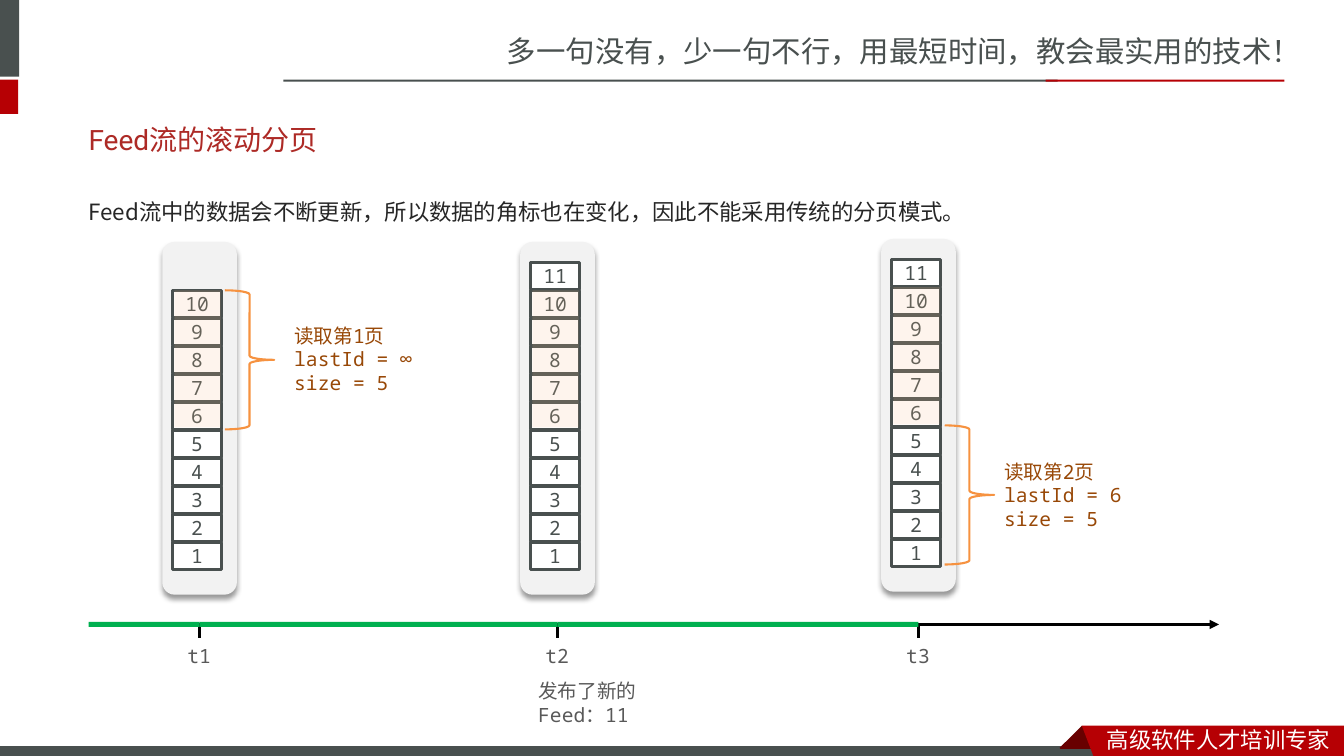
import dataclasses
import typing

import lxml.etree
import pptx
import pptx.dml.color
import pptx.enum.shapes
import pptx.enum.text
import pptx.oxml.ns
import pptx.shapes.autoshape
import pptx.shapes.connector
import pptx.util

Inches = pptx.util.Inches
Kind = pptx.enum.shapes.MSO_SHAPE
Align = pptx.enum.text.PP_ALIGN
Anchor = pptx.enum.text.MSO_ANCHOR
Shape = pptx.shapes.autoshape.Shape
Line = pptx.shapes.connector.Connector
tag = pptx.oxml.ns.qn


@dataclasses.dataclass(frozen=True)
class Theme:
    slate: str = "49504F"
    red: str = "B60004"
    dark: str = "680000"
    title: str = "AD2A26"
    ink: str = "262626"
    gray: str = "595959"
    brown: str = "984807"
    brace: str = "F69240"
    tint: str = "FAC090"
    panel: str = "F2F2F2"
    green: str = "00B050"
    white: str = "FFFFFF"
    black: str = "000000"
    slogan_size: float = 21
    title_size: float = 20
    body_size: float = 16
    label_size: float = 14
    mono: str = "Noto Sans Mono"
    sans: str = "Noto Sans CJK SC"
    body: str = "Noto Sans CJK JP"
    head: str = "Roboto"


class Box(typing.NamedTuple):
    left: float
    top: float
    width: float
    height: float


class Block(typing.NamedTuple):
    box: Box
    fill: str
    edge: str | None = None


class Note(typing.NamedTuple):
    box: Box
    text: str
    size: float
    face: str
    color: str
    wrap: bool = True
    anchor: Anchor = Anchor.TOP
    space: float | None = None


class Stack(typing.NamedTuple):
    left: float
    top: float
    count: int
    tick: float


class Page(typing.NamedTuple):
    brace: Box
    label: Box
    text: str


look = Theme()
PITCH = 2.5 / 9
BAR_TOP, BAR_HIGH = 6.17, 0.05
AXIS = BAR_TOP + BAR_HIGH / 2
START, END = 0.88, 12.09

BLOCKS = [
    Block(Box(-0.01, 7.45, 13.3, 0.08), look.white, look.white),
    Block(Box(-0.06, 0, 0.25, 0.76), look.slate),
    Block(Box(-0.06, 0.79, 0.24, 0.34), look.red),
    Block(Box(2.81, 0.79, 7.68, 0.02), look.slate),
    Block(Box(10.37, 0.79, 2.37, 0.02), look.red),
    Block(Box(-0.01, 7.41, 10.96, 0.09), look.slate, look.slate),
]
FOLD = [(10.73, 7.2), (10.95, 7.42), (10.94, 7.43), (10.52, 7.43), (10.51, 7.42)]
RIBBON = [(10.73, 7.2), (13.33, 7.2), (13.33, 7.54), (10.86, 7.54)]
STACKS = [Stack(1.61, 2.4, 10, 1.98), Stack(5.16, 2.4, 11, 5.53), Stack(8.74, 2.37, 11, 9.11)]
PAGES = [
    Page(Box(2.23, 2.88, 0.49, 1.38), Box(2.82, 3.16, 1.77, 0.81), "读取第1页\nlastId = ∞\nsize = 5"),
    Page(Box(9.37, 4.22, 0.49, 1.38), Box(9.86, 4.51, 1.77, 0.81), "读取第2页\nlastId = 6\nsize = 5"),
]
NOTES = [
    Note(Box(4.93, 0.28, 8.41, 0.47), "多一句没有，少一句不行，用最短时间，教会最实用的技术！",
         look.slogan_size, look.sans, look.slate),
    Note(Box(10.88, 7.15, 2.45, 0.37), "高级软件人才培训专家", look.body_size, look.sans, look.white),
    Note(Box(0.78, 1.16, 11.7, 0.44), "Feed流的滚动分页",
         look.title_size, look.head, look.title, anchor=Anchor.MIDDLE),
    Note(Box(0.78, 1.78, 11.95, 0.47),
         "Feed流中的数据会不断更新，所以数据的角标也在变化，因此不能采用传统的分页模式。",
         look.body_size, look.body, look.ink, space=1.5),
    Note(Box(5.24, 6.69, 1.43, 0.57), "发布了新的Feed：11", look.label_size, look.mono, look.gray),
]


def tone(code: str) -> pptx.dml.color.RGBColor:
    return pptx.dml.color.RGBColor.from_string(code)


def paint(shape: Shape, fill: str | None, edge: str | None = None, width: float = 0.75) -> Shape:
    """Set fill and outline, and drop the inherited shadow."""
    shape.shadow.inherit = False
    if fill:
        shape.fill.solid()
        shape.fill.fore_color.rgb = tone(fill)
    else:
        shape.fill.background()
    if edge:
        shape.line.color.rgb = tone(edge)
        shape.line.width = pptx.util.Pt(width)
    else:
        shape.line.fill.background()
    return shape


def add_box(shapes, kind: Kind, box: Box) -> Shape:
    return shapes.add_shape(kind, *map(Inches, box))


def add_free(shapes, points: list[tuple[float, float]], fill: str) -> None:
    spots = [(Inches(x), Inches(y)) for x, y in points]
    maker = shapes.build_freeform(*spots[0], scale=1.0)
    maker.add_line_segments(spots[1:], close=True)
    paint(maker.convert_to_shape(), fill)


def write(frame, text: str, size: float, face: str, color: str,
          align: Align = Align.LEFT, space: float | None = None) -> None:
    style = {"size": pptx.util.Pt(size), "name": face}
    for spot, words in enumerate(text.split("\n")):
        para = frame.add_paragraph() if spot else frame.paragraphs[0]
        para.alignment = align
        if space:
            para.line_spacing = space
        run = para.add_run()
        run.text = words
        for key, value in style.items():
            setattr(run.font, key, value)
        run.font.color.rgb = tone(color)
        east = look.body if face == look.body else look.sans
        lxml.etree.SubElement(run.font._element, tag("a:ea"), typeface=east)


def add_note(shapes, note: Note) -> None:
    frame = shapes.add_textbox(*map(Inches, note.box)).text_frame
    frame.word_wrap = note.wrap
    frame.vertical_anchor = note.anchor
    write(frame, note.text, note.size, note.face, note.color, space=note.space)


def add_line(shapes, x1: float, y1: float, x2: float, y2: float) -> Line:
    line = shapes.add_connector(pptx.enum.shapes.MSO_CONNECTOR.STRAIGHT,
                                *map(Inches, (x1, y1, x2, y2)))
    line.line.color.rgb = tone(look.black)
    line.line.width = pptx.util.Pt(2.25)
    lxml.etree.SubElement(line.element.spPr, tag("a:effectLst"))
    return line


def add_stack(shapes, stack: Stack) -> None:
    """Draw a panel with numbered cells, newest on top, and a tint over 10 to 6."""
    group = shapes.add_group_shape().shapes
    panel = paint(add_box(group, Kind.ROUNDED_RECTANGLE, Box(stack.left, stack.top, 0.74, 3.5)), look.panel)
    list_tag = panel.element.spPr.find(tag("a:effectLst"))
    shade = lxml.etree.SubElement(list_tag, tag("a:outerShdw"), blurRad=str(pptx.util.Pt(4)),
                                  dist=str(pptx.util.Pt(3)), dir="5400000", rotWithShape="0")
    color = lxml.etree.SubElement(shade, tag("a:srgbClr"), val=look.black)
    lxml.etree.SubElement(color, tag("a:alpha"), val="40000")
    first = stack.top + 0.48
    for number in range(1, stack.count + 1):
        box = Box(stack.left + 0.1, first + (10 - number) * PITCH, 0.49, 0.27)
        cell = paint(add_box(group, Kind.RECTANGLE, box), look.white, look.slate, 2)
        frame = cell.text_frame
        frame.vertical_anchor = Anchor.MIDDLE
        write(frame, str(number), look.label_size, look.mono, look.slate, Align.CENTER)
    tint = paint(add_box(group, Kind.RECTANGLE, Box(stack.left + 0.12, first, 0.46, 1.36)), look.tint)
    color = tint.element.spPr.find(".//" + tag("a:srgbClr"))
    lxml.etree.SubElement(color, tag("a:alpha"), val="16000")


def add_axis(shapes) -> None:
    """Draw the time arrow, its ticks and the green bars between them."""
    axis = add_line(shapes, START, AXIS, END, AXIS)
    lxml.etree.SubElement(axis.line._get_or_add_ln(), tag("a:tailEnd"), type="triangle")
    left = START
    for index, stack in enumerate(STACKS, 1):
        tick = add_line(shapes, stack.tick, AXIS, stack.tick, 6.33)
        box = Box(left, BAR_TOP, stack.tick - left, BAR_HIGH)
        bar = paint(add_box(shapes, Kind.RECTANGLE, box), look.green)
        tick.begin_connect(bar, 3)
        if index == 1:
            axis.begin_connect(bar, 1)
        add_note(shapes, Note(Box(stack.tick - 0.22, 6.34, 0.44, 0.34), f"t{index}",
                              look.label_size, look.mono, look.gray, wrap=False))
        left = stack.tick


def main() -> None:
    deck = pptx.Presentation()
    deck.slide_width, deck.slide_height = Inches(13.33), Inches(7.5)
    shapes = deck.slides.add_slide(deck.slide_layouts[6]).shapes
    for block in BLOCKS:
        paint(add_box(shapes, Kind.RECTANGLE, block.box), block.fill, block.edge)
    add_free(shapes, FOLD, look.dark)
    add_free(shapes, RIBBON, look.red)
    for note in NOTES:
        add_note(shapes, note)
    add_axis(shapes)
    for stack in STACKS:
        add_stack(shapes, stack)
    for page in PAGES:
        paint(add_box(shapes, Kind.RIGHT_BRACE, page.brace), None, look.brace, 1.5)
        add_note(shapes, Note(page.label, page.text, look.label_size, look.mono, look.brown))
    deck.save("out.pptx")


if __name__ == "__main__":
    main()
